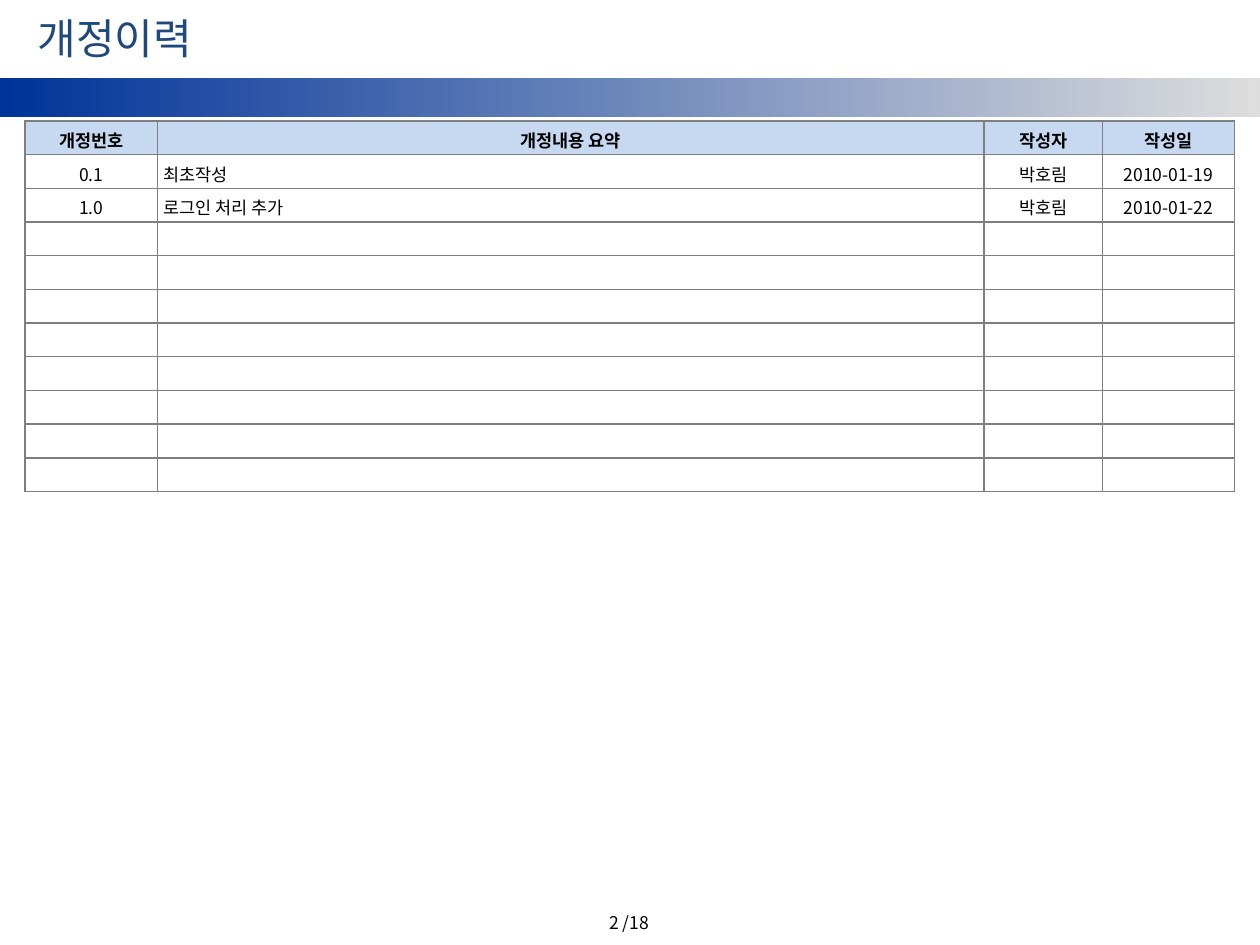
from dataclasses import dataclass

from lxml import etree
from pptx import Presentation
from pptx.dml.color import RGBColor
from pptx.enum import shapes, text
from pptx.oxml import ns
from pptx.util import Pt


@dataclass(frozen=True)
class Theme:
    font: str = "Noto Sans CJK KR"
    ink: str = "000000"
    title: str = "1F497D"
    band_start: str = "003399"
    band_end: str = "DDDDDD"
    header: str = "C6D9F1"
    cell: str = "FFFFFF"
    border: str = "7F7F7F"
    title_size: int = 24
    body_size: int = 10


T = Theme()
LEFT, CENTER = text.PP_ALIGN.LEFT, text.PP_ALIGN.CENTER


def add_text(tf, words, size, color, align=LEFT, bold=False):
    tf.word_wrap = True
    p = tf.paragraphs[0]
    p.alignment = align
    r = p.add_run()
    r.text = words
    r.font.name, r.font.size, r.font.bold = T.font, Pt(size), bold
    r.font.color.rgb = RGBColor.from_string(color)
    etree.SubElement(r.font._element, ns.qn("a:ea"), typeface=T.font)


def add_borders(cell):
    """Draw a 1 pt line on all four sides; lines must come before the fill."""
    tcPr = cell._tc.get_or_add_tcPr()
    for i, side in enumerate(("lnL", "lnR", "lnT", "lnB")):
        ln = etree.Element(ns.qn(f"a:{side}"), w=str(Pt(1)))
        fill = etree.SubElement(ln, ns.qn("a:solidFill"))
        etree.SubElement(fill, ns.qn("a:srgbClr"), val=T.border)
        tcPr.insert(i, ln)


prs = Presentation()
prs.slide_width, prs.slide_height = Pt(720), Pt(540)
s = prs.slides.add_slide(prs.slide_layouts[6])

# Page number
sp = s.shapes.add_textbox(Pt(321.8), Pt(517.5), Pt(75.6), Pt(19.4))
add_text(sp.text_frame, "2 /18", T.body_size, T.ink, CENTER)

# Gradient band under the title
band = s.shapes.add_shape(shapes.MSO_SHAPE.RECTANGLE, 0, Pt(44.6), Pt(720), Pt(22.3))
band.shadow.inherit = False
band.line.fill.background()
band.fill.gradient()
band.fill.gradient_angle = 0
for stop, color in zip(band.fill.gradient_stops, (T.band_start, T.band_end)):
    stop.color.rgb = RGBColor.from_string(color)

# Revision history table
COL_WIDTHS = (75.6, 472.4, 67.6, 75.6)
ROW_HEIGHT, ROW_COUNT = 19.25, 11
REVISIONS = [
    ("개정번호", "개정내용 요약", "작성자", "작성일"),
    ("0.1", "최초작성", "박호림", "2010-01-19"),
    ("1.0", "로그인 처리 추가", "박호림", "2010-01-22"),
]
rows = REVISIONS + [("",) * len(COL_WIDTHS)] * (ROW_COUNT - len(REVISIONS))

table = s.shapes.add_table(ROW_COUNT, len(COL_WIDTHS), Pt(14.4), Pt(69.1),
                           Pt(sum(COL_WIDTHS)), Pt(ROW_HEIGHT * ROW_COUNT)).table
for column, width in zip(table.columns, COL_WIDTHS):
    column.width = Pt(width)

for i, row in enumerate(rows):
    table.rows[i].height = Pt(ROW_HEIGHT)
    for j, words in enumerate(row):
        cell = table.cell(i, j)
        cell.fill.solid()
        cell.fill.fore_color.rgb = RGBColor.from_string(T.cell if i else T.header)
        add_borders(cell)
        cell.vertical_anchor = text.MSO_ANCHOR.MIDDLE
        cell.margin_left = cell.margin_right = cell.margin_top = Pt(3.6)
        cell.margin_bottom = Pt(1)
        if words:
            align = LEFT if i and j == 1 else CENTER
            add_text(cell.text_frame, words, T.body_size, T.ink, align, bold=i == 0)
        else:
            # Keeps an empty row from growing to the default type size
            etree.SubElement(cell.text_frame.paragraphs[0]._p, ns.qn("a:endParaRPr"),
                             sz=str(T.body_size * 100))

# Title
sp = s.shapes.add_textbox(Pt(14.4), 0, Pt(685.4), Pt(43.2))
sp.text_frame.vertical_anchor = text.MSO_ANCHOR.MIDDLE
add_text(sp.text_frame, "개정이력", T.title_size, T.title)

prs.save("out.pptx")
